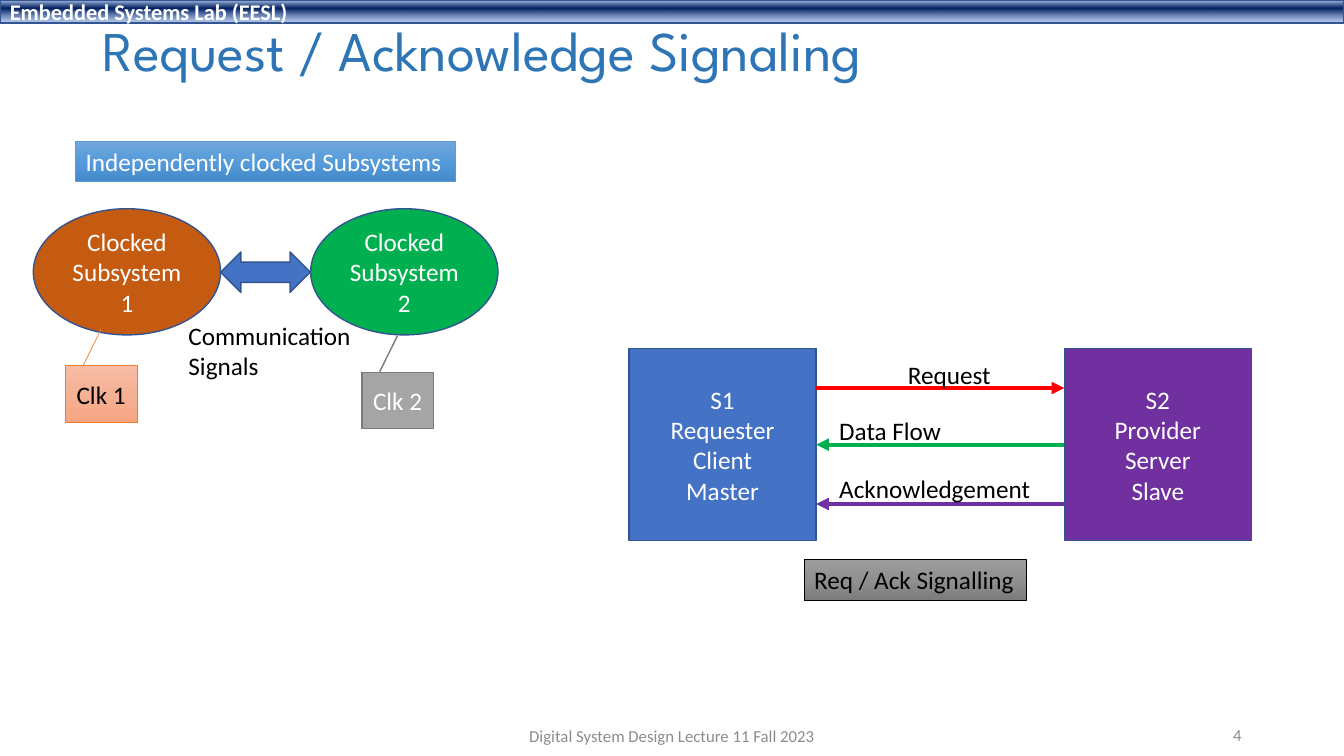
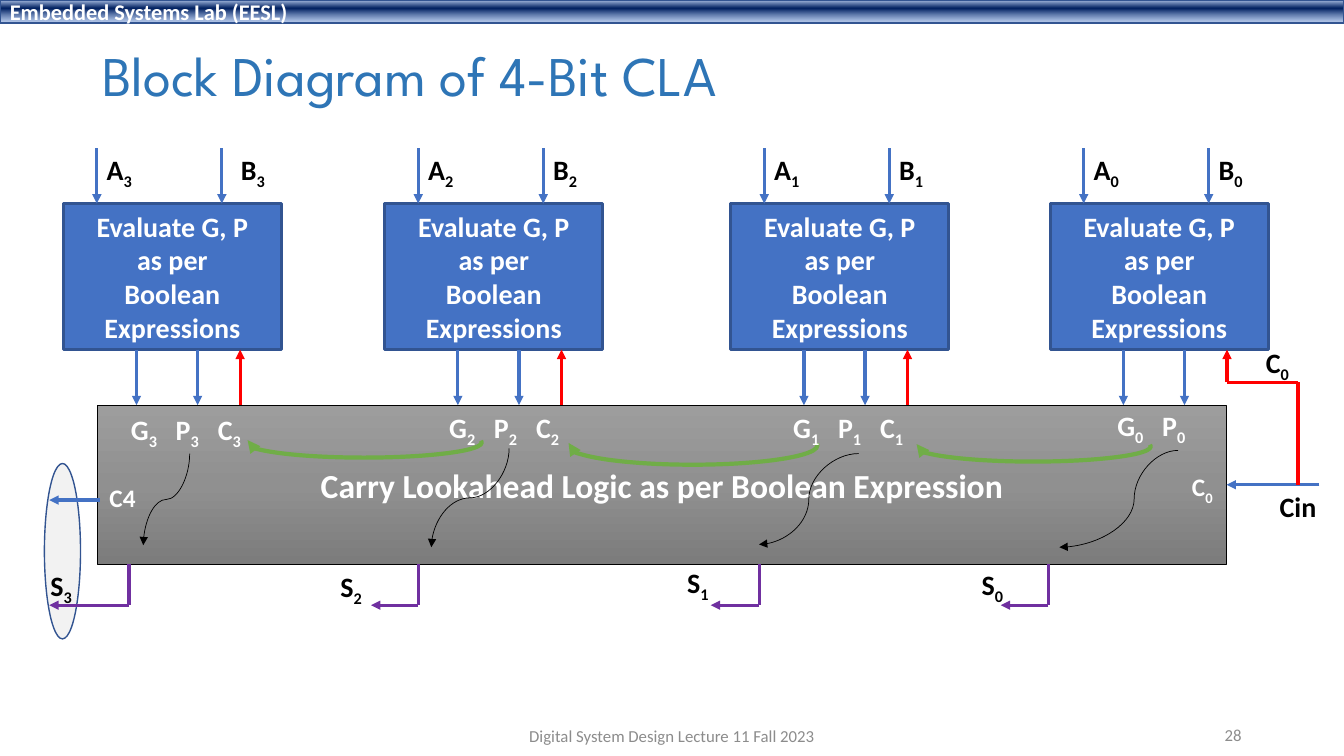
from lxml import etree
from pptx import Presentation
from pptx import util as u
from pptx.dml.color import RGBColor
from pptx.enum import shapes, text
from pptx.oxml.ns import qn

WHITE = RGBColor(0xFF, 0xFF, 0xFF)
BLACK = RGBColor(0x00, 0x00, 0x00)
BLUE = RGBColor(0x44, 0x72, 0xC4)
OUTLINE = RGBColor(0x32, 0x54, 0x91)
TITLE_BLUE = RGBColor(0x2E, 0x75, 0xB6)
FOOTER_GRAY = RGBColor(0x8C, 0x8C, 0x8C)
BROWN = RGBColor(0xC5, 0x5A, 0x11)
ORANGE = RGBColor(0xED, 0x7D, 0x31)
GREEN = RGBColor(0x00, 0xB0, 0x50)
CARRY_GREEN = RGBColor(0x70, 0xAD, 0x47)
PURPLE = RGBColor(0x70, 0x30, 0xA0)
RED = RGBColor(0xFF, 0x00, 0x00)
SKY = RGBColor(0x5B, 0x9B, 0xD5)
GRAY = RGBColor(0xA5, 0xA5, 0xA5)
DARK_GRAY = RGBColor(0x7A, 0x7A, 0x7A)
PALE_GRAY = RGBColor(0xF2, 0xF2, 0xF2)

BAND_GRADIENT = [(2, "ABC0E4", 100), (38, "002060", 100), (93, "7E9ED6", 64)]
SKY_GRADIENT = [(0, "71A6DB", 100), (50, "559BDB", 100), (100, "448ACA", 100)]
GRAY_GRADIENT = [(0, "9D9D9D", 100), (50, "909090", 100), (100, "7C7C7C", 100)]
PEACH_GRADIENT = [(0, "F7BDA5", 100), (50, "F5B196", 100), (100, "F8A582", 100)]

KIND = shapes.MSO_SHAPE
LINK = shapes.MSO_CONNECTOR
LEFT, CENTER, RIGHT = text.PP_ALIGN.LEFT, text.PP_ALIGN.CENTER, text.PP_ALIGN.RIGHT
TOP, MIDDLE = text.MSO_ANCHOR.TOP, text.MSO_ANCHOR.MIDDLE
BODY = {"name": "Calibri", "size": u.Pt(18), "bold": False}
BOLD = {**BODY, "size": u.Pt(20), "bold": True}
BOLD_SMALL = {**BODY, "bold": True}
BAND_FONT = {**BOLD, "size": u.Pt(16)}
LOGIC_FONT = {**BOLD, "size": u.Pt(24)}
FOOTER_FONT = {**BODY, "size": u.Pt(12)}
TITLE_FONT = {"name": "League Spartan", "size": u.Pt(40)}

COLUMNS = [
    dict(bit=3, left=1.6, b_label=4.22, terms=(3.05, 10.26), drop=3.25, tip=1.24,
         total=(1.02, 14.2), arc=(6.2, 10.77, 5.94, 0.76),
         curve=(4.78, 11.43, 3.61, 13.74), vertical=True),
    dict(bit=2, left=9.7, b_label=3.99, terms=(11.07, 10.21), drop=10.54, tip=9.35,
         total=(8.33, 14.22), arc=(14.3, 10.74, 6.3, 0.97),
         curve=(12.83, 11.3, 10.87, 13.79), vertical=True),
    dict(bit=1, left=18.42, b_label=3.99, terms=(19.74, 10.21), drop=19.13, tip=17.91,
         total=(17.07, 14.12), arc=(23.06, 10.87, 5.94, 0.76),
         curve=(21.64, 11.43, 19.13, 13.72), vertical=False),
    dict(bit=0, left=26.47, b_label=3.99, terms=(27.91, 10.16), drop=26.42, tip=25.22,
         total=(24.49, 14.17), arc=None,
         curve=(29.69, 11.35, 26.7, 13.79), vertical=False, bend=0.37),
]


def cm(values):
    """Turn centimetre numbers into lengths."""
    return [u.Cm(value) for value in values]


def write(shape, lines, color, font=BODY, align=CENTER, anchor=MIDDLE, wrap=True,
          tabs=(), spacing=None):
    """Write lines into a shape; an underscore switches subscript on and off."""
    frame = shape.text_frame
    for name, value in {"word_wrap": wrap, "vertical_anchor": anchor}.items():
        setattr(frame, name, value)
    for index, line in enumerate(lines):
        paragraph = frame.add_paragraph() if index else frame.paragraphs[0]
        paragraph.alignment = align
        if spacing:
            paragraph.line_spacing = spacing
        if tabs:
            stops = etree.SubElement(paragraph._p.get_or_add_pPr(), qn("a:tabLst"))
            for stop in tabs:
                etree.SubElement(stops, qn("a:tab"), pos=str(u.Cm(stop)), algn="l")
        for part, content in enumerate(line.split("_")):
            run = paragraph.add_run()
            run.text = content
            for name, value in font.items():
                setattr(run.font, name, value)
            run.font.color.rgb = color
            if part % 2:
                run.font._element.set("baseline", "-25000")


def add_text(slide, box, lines, color=BLACK, font=BODY, align=LEFT, anchor=TOP,
             wrap=False, **options):
    """Add a text box."""
    label = slide.shapes.add_textbox(*cm(box))
    write(label, lines, color, font, align, anchor, wrap, **options)
    return label


def paint_gradient(shape, stops):
    """Fill a shape with a gradient running downwards."""
    shape.fill.gradient()
    shape.fill.gradient_angle = 270
    stop_list = shape._element.spPr.find(".//" + qn("a:gsLst"))
    for stop in list(stop_list):
        stop_list.remove(stop)
    for position, color, alpha in stops:
        stop = etree.SubElement(stop_list, qn("a:gs"), pos=str(position * 1000))
        tint = etree.SubElement(stop, qn("a:srgbClr"), val=color)
        if alpha < 100:
            etree.SubElement(tint, qn("a:alpha"), val=str(alpha * 1000))


def add_shape(slide, kind, box, fill=None, line=OUTLINE, width=1, adjust=()):
    """Add a preset shape with a solid, gradient or empty fill."""
    shape = slide.shapes.add_shape(kind, *cm(box))
    shape.shadow.inherit = False
    if fill is None:
        shape.fill.background()
    elif isinstance(fill, list):
        paint_gradient(shape, fill)
    else:
        shape.fill.solid()
        shape.fill.fore_color.rgb = fill
    shape.line.color.rgb = line
    shape.line.width = u.Pt(width)
    for index, value in enumerate(adjust):
        shape.adjustments[index] = value
    return shape


def add_arrowhead(shape):
    """Put a triangle at the end of a line."""
    etree.SubElement(shape._element.spPr.find(qn("a:ln")), qn("a:tailEnd"), type="triangle")


def add_line(slide, ends, color, width=2.25, arrow=True, kind=LINK.STRAIGHT):
    """Add a connector running from the first point to the second."""
    connector = slide.shapes.add_connector(kind, *cm(ends))
    connector.line.color.rgb = color
    connector.line.width = u.Pt(width)
    if arrow:
        add_arrowhead(connector)
    etree.SubElement(connector._element.spPr, qn("a:effectLst"))
    return connector


def add_curve(slide, ends, vertical, bend=0.5):
    """Add a thin S-shaped arrow leaving vertically or horizontally."""
    x1, y1, x2, y2 = ends
    if vertical:
        middle_x, middle_y = (x1 + x2) / 2, (y1 + y2) / 2
        half_run, half_rise = (y2 - y1) / 2, (x1 - x2) / 2
        ends = (middle_x - half_run, middle_y - half_rise,
                middle_x + half_run, middle_y + half_rise)
    connector = add_line(slide, ends, BLACK, 0.5, kind=LINK.CURVE)
    properties = connector._element.spPr
    if vertical:
        properties.find(qn("a:xfrm")).set("rot", "5400000")
    guides = properties.find(qn("a:prstGeom")).find(qn("a:avLst"))
    etree.SubElement(guides, qn("a:gd"), name="adj1", fmla=f"val {round(bend * 100000)}")


def add_frame(presentation, title, title_top, number):
    """Add a blank slide with the band, title, footer and page number."""
    slide = presentation.slides.add_slide(presentation.slide_layouts[6])
    band = add_shape(slide, KIND.RECTANGLE, (0, 0, 33.87, 0.58), BAND_GRADIENT)
    write(band, ["Embedded Systems Lab (EESL)"], WHITE, BAND_FONT, LEFT)
    add_text(slide, (2.33, title_top, 29.21, 1.93), [title], TITLE_BLUE, TITLE_FONT,
             anchor=MIDDLE, wrap=True, spacing=0.9)
    add_text(slide, (11.22, 18.03, 11.43, 1.02), ["Digital System Design Lecture 11 Fall 2023"],
             FOOTER_GRAY, FOOTER_FONT, CENTER, MIDDLE, True)
    add_text(slide, (23.92, 18, 7.62, 1.02), [str(number)],
             FOOTER_GRAY, FOOTER_FONT, RIGHT, MIDDLE, True)
    return slide


def draw_subsystems(slide, left, top):
    """Draw two clocked subsystems with their clocks."""
    for number, x, color in ((1, 0, BROWN), (2, 6.99, GREEN)):
        ellipse = add_shape(slide, KIND.OVAL, (left + x, top + 1.7, 4.72, 3.18), color)
        write(ellipse, ["Clocked", f"Subsystem {number}"], WHITE)
    add_text(slide, (left + 3.66, top + 4.39, 4.65, 1.8), ["Communication", "Signals"])
    header = add_shape(slide, KIND.RECTANGLE, (left + 1.07, top, 9.58, 1.02),
                       SKY_GRADIENT, SKY, 0.5)
    write(header, ["Independently clocked Subsystems"], WHITE, align=LEFT, wrap=False)
    clocks = (("Clk 1", 0.81, 5.66, PEACH_GRADIENT, ORANGE, 0.5, BLACK),
              ("Clk 2", 8.28, 5.82, GRAY, DARK_GRAY, 1, WHITE))
    for name, x, y, fill, line, width, color in clocks:
        clock = add_shape(slide, KIND.LINE_CALLOUT_1, (left + x, top + y, 1.8, 1.42),
                          fill, line, width, (-0.01, 0.25, -0.65, 0.5))
        write(clock, [name], color)
    add_shape(slide, KIND.LEFT_RIGHT_ARROW, (left + 4.72, top + 2.79, 2.26, 1.02), BLUE)


def draw_handshake(slide, left, top):
    """Draw requester and provider with the signals between them."""
    width, height, gap = 4.72, 4.83, 6.25
    start, end = left + width, left + width + gap
    requester = add_shape(slide, KIND.RECTANGLE, (left, top, width, height), BLUE)
    write(requester, ["S1", "Requester Client", "Master"], WHITE)
    provider = add_shape(slide, KIND.RECTANGLE, (end, top, width, height), PURPLE)
    write(provider, ["S2", "Provider", "Server", "Slave"], WHITE)
    add_line(slide, (start, top + 0.99, end, top + 0.99), RED, 3)
    flow = add_line(slide, (end, top + height / 2, start, top + height / 2), GREEN, 3)
    flow.begin_connect(provider, 1)
    flow.end_connect(requester, 3)
    add_line(slide, (end, top + 3.91, start, top + 3.91), PURPLE, 3)
    labels = (("Request", 6.78, 0.13, 2.62), ("Data Flow", 5.05, 1.55, 3.1),
              ("Acknowledgement", 5.05, 3.02, 5.38))
    for name, x, y, label_width in labels:
        add_text(slide, (left + x, top + y, label_width, 1.02), [name])
    caption = add_shape(slide, KIND.RECTANGLE, (left + 4.42, top + 5.31, 5.59, 1.02),
                        GRAY_GRADIENT, BLACK, 0.5)
    write(caption, ["Req / Ack Signalling"], BLACK, align=LEFT, wrap=False)


def draw_evaluator(slide, left, top, bit, b_label):
    """Draw the G, P block of one bit with its inputs and outputs."""
    box_top, box_bottom, logic_top = top + 1.4, top + 5.08, top + 6.48
    block = add_shape(slide, KIND.RECTANGLE, (left, box_top, 5.49, 3.68), BLUE, width=2.25)
    write(block, ["Evaluate G, P", "as per", "Boolean Expressions"], WHITE, BOLD)
    for name, x, label_x in (("A", 0.84, 0.84), ("B", 3.99, b_label)):
        add_line(slide, (left + x, top, left + x, box_top), BLUE)
        add_text(slide, (left + label_x, top, 1.17, 1.12), [f"{name}_{bit}"], font=BOLD)
    for x in (1.84, 3.38):
        add_line(slide, (left + x, box_bottom, left + x, logic_top), BLUE)
    carry_start = logic_top if bit else top + 5.9
    add_line(slide, (left + 4.45, carry_start, left + 4.45, box_bottom), RED)


def draw_bit_logic(slide, bottom, bit, terms, drop, tip, total, arc, curve, vertical, bend=0.5):
    """Draw the terms, carry arc and sum output of one bit."""
    symbols = "GPC" if bit else "GP"
    line = "_\t".join(f"{symbol}_{bit}" for symbol in symbols)
    add_text(slide, (*terms, 3.53, 1.12), [line], WHITE, BOLD, wrap=True, tabs=(1.13, 2.19))
    level = bottom + 1.03
    add_line(slide, (drop, bottom, drop, level), PURPLE, arrow=False)
    add_line(slide, (drop, level, tip, level), PURPLE)
    add_text(slide, (*total, 1.09, 1.12), [f"S_{bit}"], font=BOLD)
    if arc:
        carry = add_shape(slide, KIND.ARC, arc, None, CARRY_GREEN, 3, (107.48, 0.71))
        carry.rotation = 180
        add_arrowhead(carry)
    add_curve(slide, curve, vertical, bend)


def draw_carry_logic(slide, left, top, width, height):
    """Draw the carry lookahead block with its carry input and output."""
    right = left + width
    middle = top + height / 2
    logic = add_shape(slide, KIND.RECTANGLE, (left, top, width, height),
                      GRAY_GRADIENT, BLACK, 0.5)
    write(logic, ["Carry Lookahead Logic as per Boolean Expression"], WHITE, LOGIC_FONT)
    carry_in = add_line(slide, (right + 2.34, middle, right, middle), BLUE)
    carry_in.end_connect(logic, 3)
    corner, level = right + 1.8, top - 0.58
    add_line(slide, (right, level, corner, level), RED, arrow=False)
    add_line(slide, (corner, level, corner, middle), RED, arrow=False)
    add_shape(slide, KIND.OVAL, (left - 1.34, top + 1.47, 0.91, 4.42), PALE_GRAY)
    add_line(slide, (left + 0.05, top + 2.39, left - 1.22, top + 2.39), BLUE)
    add_text(slide, (right + 0.74, top - 1.63, 1.14, 1.12), ["C_0"], font=BOLD)
    add_text(slide, (right + 1.09, middle, 1.45, 1.12), ["Cin"], font=BOLD)
    add_text(slide, (right - 1.12, top + 1.55, 1.07, 1.02), ["C_0"], WHITE, BOLD_SMALL)
    add_text(slide, (left + 0.05, top + 1.83, 1.17, 1.02), ["C4"], WHITE, BOLD_SMALL)


def main():
    """Build and save both slides."""
    presentation = Presentation()
    presentation.slide_width, presentation.slide_height = cm((33.87, 19.05))
    signaling = add_frame(presentation, "Request / Acknowledge Signaling", 0.38, 4)
    draw_subsystems(signaling, 0.84, 3.56)
    draw_handshake(signaling, 15.85, 8.79)
    adder = add_frame(presentation, "Block Diagram of 4-Bit CLA", 1, 28)
    draw_carry_logic(adder, 2.46, 10.21, 28.45, 4.01)
    for column in COLUMNS:
        outputs = dict(column)
        draw_evaluator(adder, outputs.pop("left"), 3.73, column["bit"], outputs.pop("b_label"))
        draw_bit_logic(adder, 14.22, **outputs)
    presentation.save("out.pptx")


if __name__ == "__main__":
    main()
